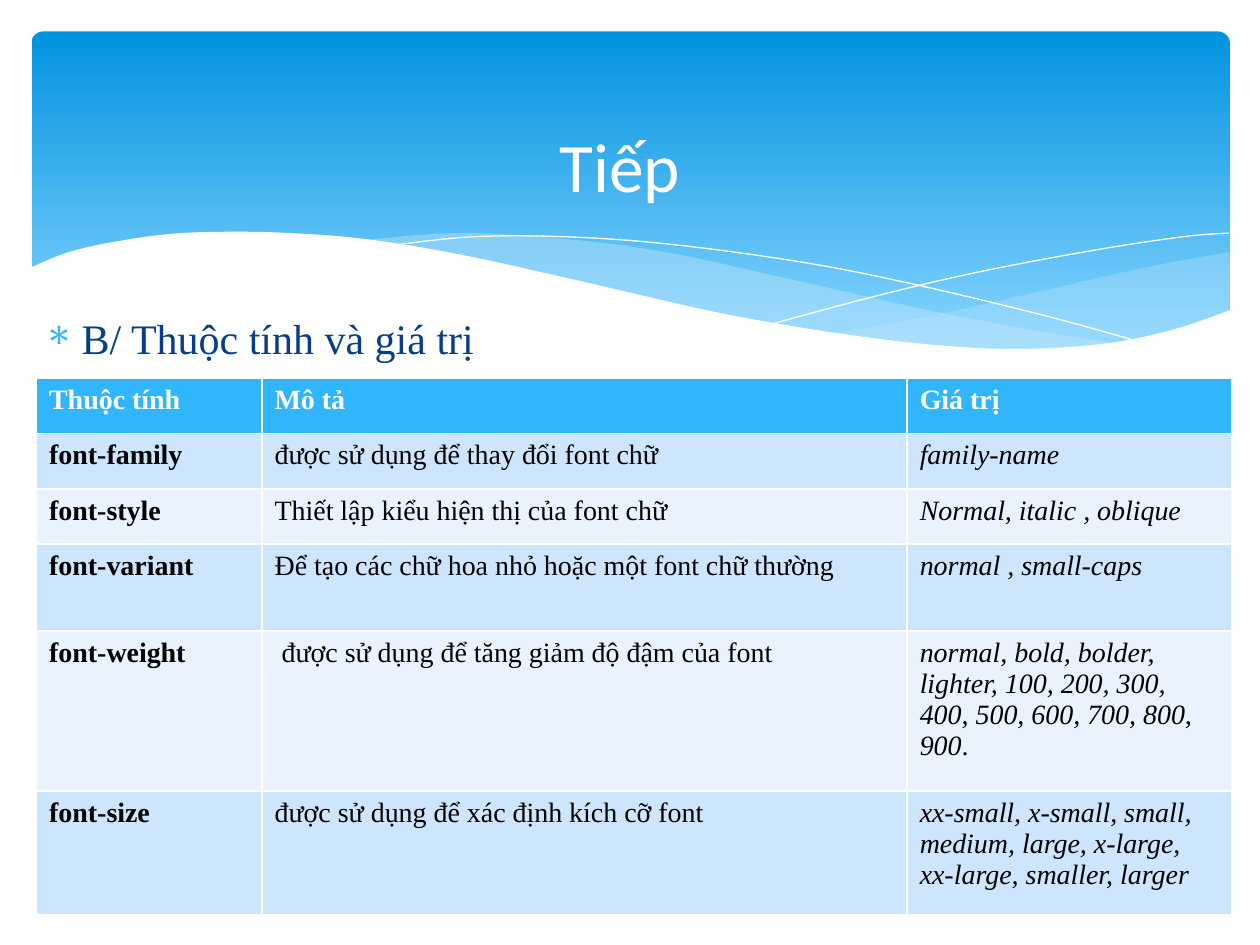
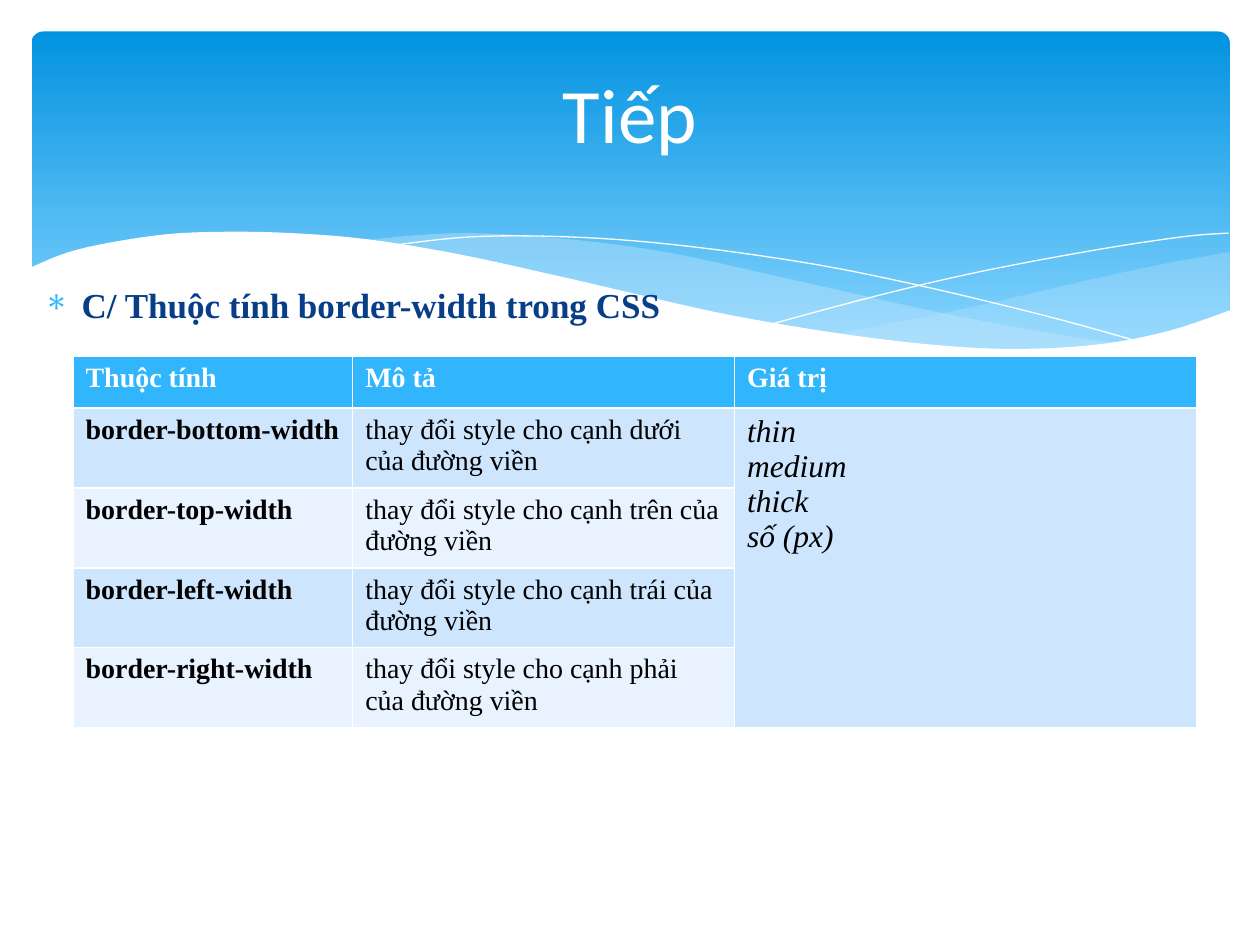
import pptx
import pptx.util
import pptx.dml.color
import pptx.enum.shapes
import pptx.enum.text
import pptx.oxml
from pptx.oxml.ns import qn
from lxml import etree

SLIDE_W, SLIDE_H = 10, 7.5  # grid: one-inch columns and rows
SERIF, SANS = "Times New Roman", "Calibri"
WHITE, BLACK, NAVY, SKY = "FFFFFF", "000000", "073E87", "31B6FD"
BAND_TOP, BAND_BOTTOM, MIST = "0293E0", "83D3FE", "C6E7FC"
ROW_FILLS = ["CEE5FE", "E8F3FF"]
BAND_BOX = (0.25, 0.25, 9.51, 2.7)
HEADINGS = ["Thuộc tính", "Mô tả", "Giá trị"]

# Wave knots, in grid units from the band's corner
BACK_WAVE = [
    [(9.51, 1.75), (8.96, 1.85), (8.36, 1.98), (7.54, 2.17), (6.81, 2.32), (6.36, 2.4)],
    [(6.36, 2.4), (6.94, 2.47), (7.56, 2.52), (8.1, 2.52), (8.64, 2.47), (9.1, 2.37),
     (9.51, 2.22)],
]
MIDDLE_WAVE = [
    [(2.61, 1.66), (3.36, 1.6), (4.17, 1.64), (5.03, 1.75), (6.04, 1.97), (7.16, 2.22),
     (8.12, 2.4), (8.68, 2.48)],
    [(8.68, 2.48), (7.93, 2.53), (7.23, 2.5), (6.4, 2.41), (5.41, 2.23), (4.24, 1.97),
     (3.37, 1.78), (2.61, 1.66)],
]
FALLING_LINE = [(2.84, 1.7), (3.49, 1.63), (4.25, 1.63), (5.08, 1.69), (6.11, 1.83),
                (7.02, 2.01), (8.06, 2.26), (8.82, 2.47)]
RISING_LINE = [(5.88, 2.32), (6.7, 2.1), (7.51, 1.91), (8.41, 1.74), (9.13, 1.63),
               (9.5, 1.6)]
FRONT_WAVE = [
    [(9.52, 2.21), (9.05, 2.37), (8.5, 2.48), (7.84, 2.52), (7.19, 2.49), (6.43, 2.4),
     (5.54, 2.25), (4.78, 2.08), (4.22, 1.95), (3.4, 1.77), (2.67, 1.65), (2.05, 1.6),
     (1.52, 1.59), (1.07, 1.61), (0.6, 1.68), (0.27, 1.76), (-0.02, 1.88)],
    [(-0.02, 3.04), (9.52, 3.04)],
]


def rgb(hex_color):
    return pptx.dml.color.RGBColor.from_string(hex_color)


def grid(*lengths):
    return [pptx.util.Inches(v) for v in lengths]


def set_font(p, size, color, name=SERIF, bold=False, italic=False):
    font = p.font
    font.size, font.name = pptx.util.Pt(size), name
    font.bold, font.italic = bold, italic
    font.color.rgb = rgb(color)


def smooth(knots, steps=6):
    """Points of a Catmull-Rom curve through the knots."""
    ends = [knots[0]] + knots + [knots[-1]]
    points = [knots[0]]
    for a, b, c, d in zip(ends, ends[1:], ends[2:], ends[3:]):
        for i in range(1, steps + 1):
            t = i / steps
            points.append(tuple(
                0.5 * (2 * q + (r - p) * t + (2 * p - 5 * q + 4 * r - u) * t ** 2
                       + (3 * q - p - 3 * r + u) * t ** 3)
                for p, q, r, u in zip(a, b, c, d)))
    return points


def add_curve(s, box, edges, close):
    points = [tuple(grid(box[0] + x, box[1] + y))
              for edge in edges for x, y in smooth(edge)]
    builder = s.shapes.build_freeform(*points[0], scale=1.0)
    builder.add_line_segments(points[1:], close=close)
    sp = builder.convert_to_shape()
    sp.shadow.inherit = False
    return sp


def add_wave(s, box, edges, color, opacity=100):
    sp = add_curve(s, box, edges, True)
    sp.fill.solid()
    sp.fill.fore_color.rgb = rgb(color)
    sp.line.fill.background()
    if opacity < 100:
        clr = sp.fill._xPr.find(".//" + qn("a:srgbClr"))
        etree.SubElement(clr, qn("a:alpha")).set("val", str(opacity * 1000))


def add_hairline(s, box, knots):
    sp = add_curve(s, box, [knots], False)
    sp.fill.background()
    sp.line.color.rgb = rgb(WHITE)
    sp.line.width = 0


def add_band(s, box):
    # Gradient panel
    sp = s.shapes.add_shape(pptx.enum.shapes.MSO_SHAPE.ROUNDED_RECTANGLE, *grid(*box))
    sp.adjustments[0] = 0.034
    sp.shadow.inherit = False
    sp.line.fill.background()
    sp.fill.gradient()
    sp.fill.gradient_angle = 270
    for stop, color, position in zip(sp.fill.gradient_stops,
                                     (BAND_TOP, BAND_BOTTOM), (0, 0.9)):
        stop.color.rgb = rgb(color)
        stop.position = position
    # Waves, back to front
    add_wave(s, box, BACK_WAVE, MIST, 29)
    add_wave(s, box, MIDDLE_WAVE, MIST, 40)
    add_hairline(s, box, FALLING_LINE)
    add_hairline(s, box, RISING_LINE)
    add_wave(s, box, FRONT_WAVE, WHITE)


def add_text(s, box, text):
    tf = s.shapes.add_textbox(*grid(*box)).text_frame
    tf.word_wrap = True
    p = tf.paragraphs[0]
    p.text = text
    return tf, p


def add_title(s, box, text, size):
    tf, p = add_text(s, box, text)
    tf.vertical_anchor = pptx.enum.text.MSO_ANCHOR.MIDDLE
    p.alignment = pptx.enum.text.PP_ALIGN.CENTER
    set_font(p, size, WHITE, SANS)


def add_bullet(s, box, text, size, bold):
    tf, p = add_text(s, box, text)
    set_font(p, size, NAVY, bold=bold)
    pPr = p._p.get_or_add_pPr()
    indent = pptx.util.Inches(0.3)
    pPr.set("marL", str(indent))
    pPr.set("indent", str(-indent))
    bullet = pptx.oxml.parse_xml(
        '<a:pPr xmlns:a="http://schemas.openxmlformats.org/drawingml/2006/main">'
        f'<a:buClr><a:srgbClr val="{SKY}"/></a:buClr>'
        '<a:buFont typeface="Symbol"/><a:buChar char="∗"/></a:pPr>')
    for i, part in enumerate(list(bullet)):
        pPr.insert(i, part)


def fill_cell(cell, text, fill, size=16, color=BLACK, bold=False, italic=False):
    cell.fill.solid()
    cell.fill.fore_color.rgb = rgb(fill)
    tf = cell.text_frame
    for i, line in enumerate(text.split("\n")):
        p = tf.add_paragraph() if i else tf.paragraphs[0]
        words, stop, _ = line.partition(".")
        p.add_run().text = words
        set_font(p, size, color, bold=bold, italic=italic)
        if stop:
            r = p.add_run()
            r.text = stop
            r.font.italic = False


def add_property_table(s, corner, cols, heights, rows, value_size=16, shared_value=False):
    """Header row, then name, description and value on banded rows."""
    box = (*corner, sum(cols), sum(heights))
    table = s.shapes.add_table(len(heights), len(cols), *grid(*box)).table
    for column, width in zip(table.columns, grid(*cols)):
        column.width = width
    for row, height in zip(table.rows, grid(*heights)):
        row.height = height
    for j, heading in enumerate(HEADINGS):
        fill_cell(table.cell(0, j), heading, SKY, color=WHITE, bold=True)
    for i, texts in enumerate(rows, 1):
        for j, text in enumerate(texts):
            fill_cell(table.cell(i, j), text, ROW_FILLS[(i - 1) % 2],
                      size=value_size if j == 2 else 16, bold=j == 0, italic=j == 2)
    if shared_value:
        table.cell(1, 2).merge(table.cell(len(rows), 2))


def font_slide(s):
    add_band(s, BAND_BOX)
    add_bullet(s, (0.25, 2.43, 9.5, 0.5), "B/ Thuộc tính và giá trị", 24, False)
    add_title(s, (0.42, 1.08, 9, 0.46), "Tiếp", 39.6)
    add_property_table(
        s, (0.29, 3), [1.79, 5.12, 2.58], [0.44, 0.44, 0.44, 0.69, 1.27, 0.98], [
            ("font-family", "được sử dụng để thay đổi font chữ", "family-name"),
            ("font-style", "Thiết lập kiểu hiện thị của font chữ",
             "Normal, italic , oblique"),
            ("font-variant", "Để tạo các chữ hoa nhỏ hoặc một font chữ thường",
             "normal , small-caps"),
            ("font-weight", " được sử dụng để tăng giảm độ đậm của font",
             "normal, bold, bolder, lighter, 100, 200, 300, 400, 500, 600, 700, 800, 900."),
            ("font-size", "được sử dụng để xác định kích cỡ font",
             "xx-small, x-small, small, medium, large, x-large, xx-large, smaller, larger"),
        ])


def border_slide(s):
    add_band(s, BAND_BOX)
    add_bullet(s, (0.25, 2.2, 9.5, 0.45), "C/ Thuộc tính border-width trong CSS", 20, True)
    add_title(s, (0.5, 0.37, 9, 1.05), "Tiếp", 44)
    sides = [("bottom", "dưới"), ("top", "trên"), ("left", "trái"), ("right", "phải")]
    rows = [[f"border-{side}-width", f"thay đổi style cho cạnh {name} của đường viền"]
            for side, name in sides]
    rows[0].append("thin\nmedium\nthick\nsố (px)")
    add_property_table(s, (0.58, 2.83), [2.22, 3.03, 3.67], [0.41] * 5, rows,
                       value_size=18, shared_value=True)


def main():
    prs = pptx.Presentation()
    prs.slide_width, prs.slide_height = grid(SLIDE_W, SLIDE_H)
    for build in (font_slide, border_slide):
        build(prs.slides.add_slide(prs.slide_layouts[6]))
    prs.save("out.pptx")


if __name__ == "__main__":
    main()
